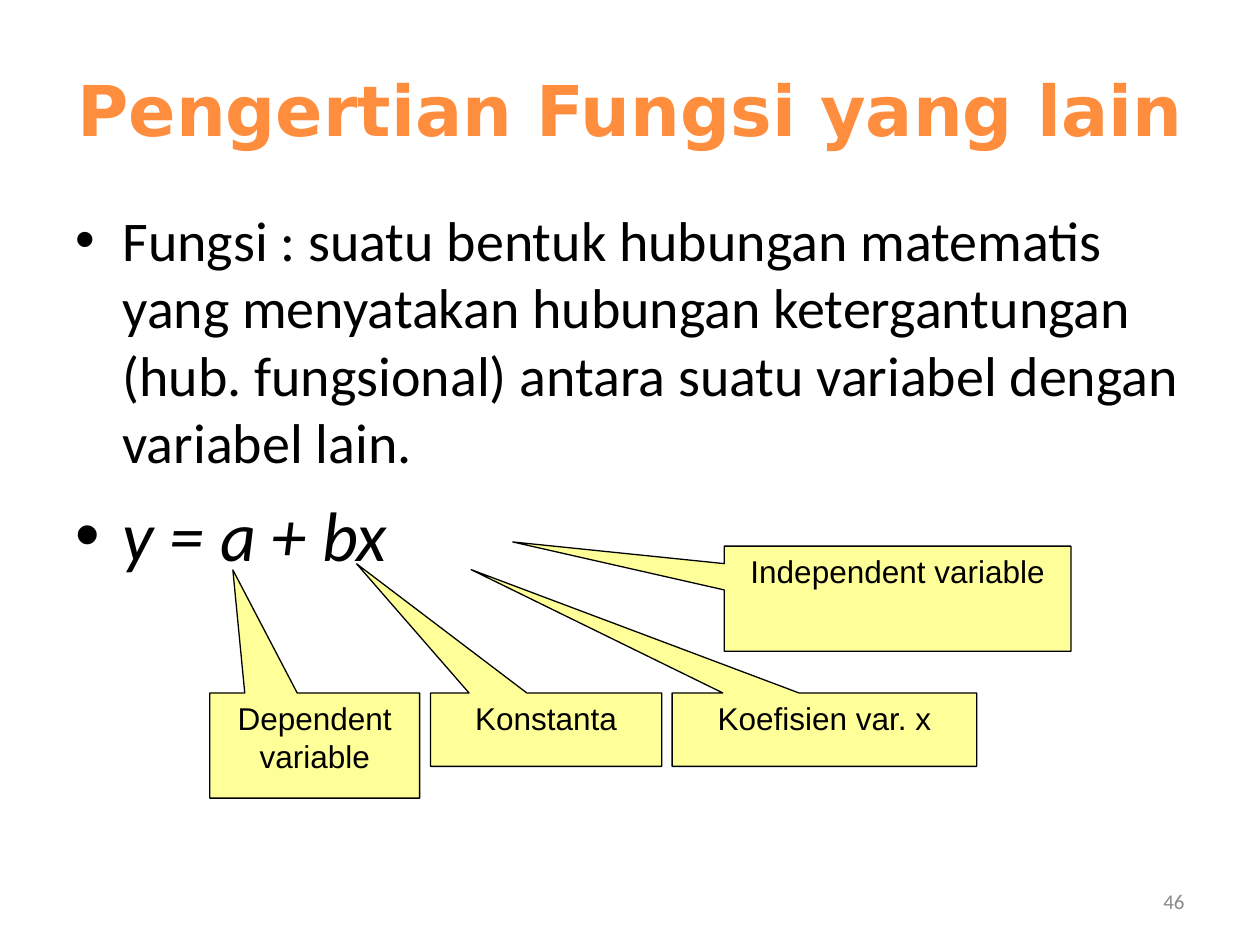
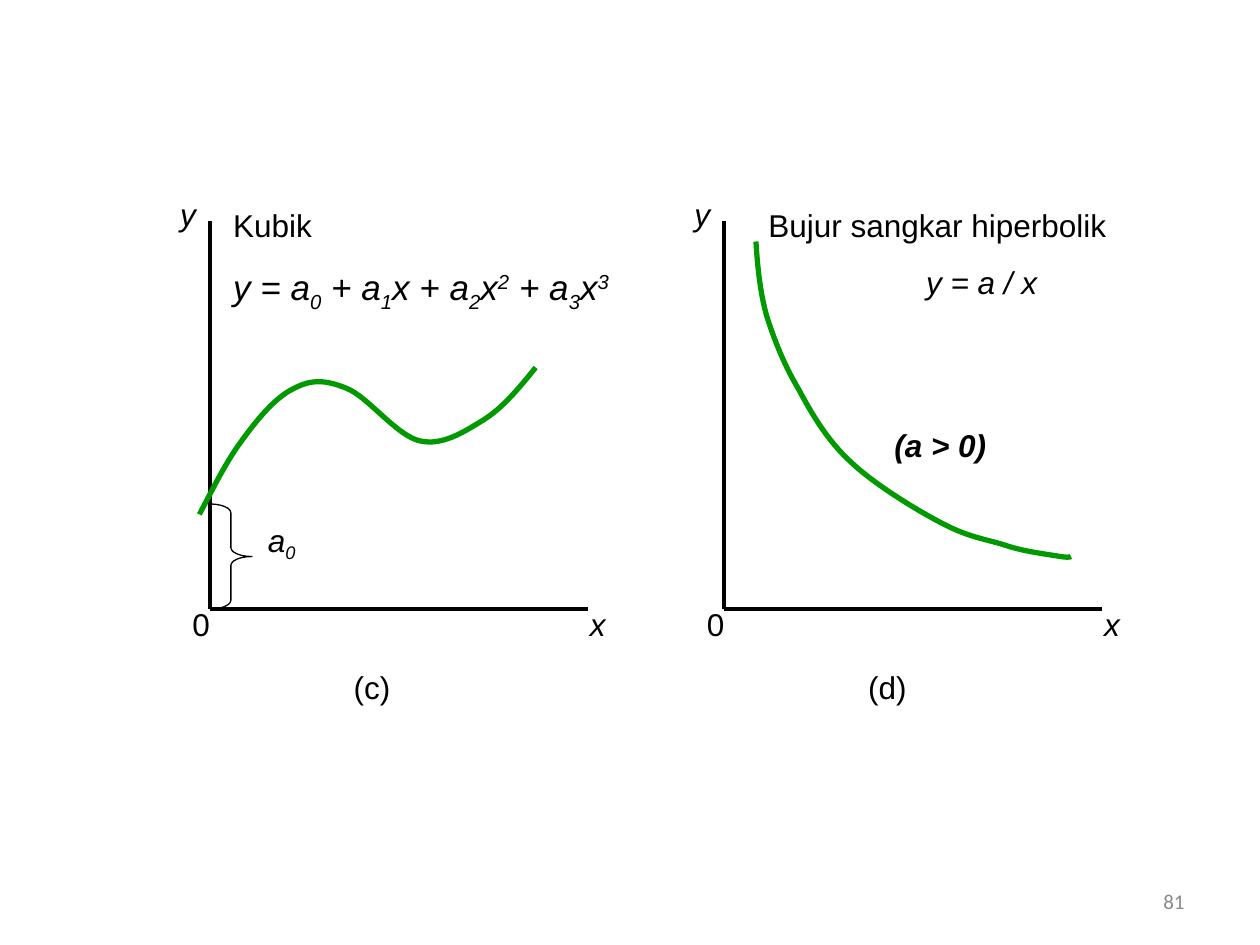
import itertools
from typing import NamedTuple

import lxml.etree
import pptx
import pptx.dml.color
import pptx.enum.shapes
import pptx.enum.text
import pptx.oxml.ns
import pptx.util

Cm = pptx.util.Cm
Pt = pptx.util.Pt
RGBColor = pptx.dml.color.RGBColor
ALIGN = pptx.enum.text.PP_ALIGN
ANCHOR = pptx.enum.text.MSO_ANCHOR
PRESET = pptx.enum.shapes.MSO_SHAPE
qn = pptx.oxml.ns.qn

# Shared look
BLACK = RGBColor(0x00, 0x00, 0x00)
ORANGE = RGBColor(0xFF, 0x8D, 0x3E)
YELLOW = RGBColor(0xFF, 0xFF, 0x99)
GREEN = RGBColor(0x00, 0x99, 0x00)
GRAY = RGBColor(0x89, 0x89, 0x89)
BASELINES = {"_": -25000, "^": 30000}

# Shared axes, in centimetres
AXIS_TOP, AXIS_BOTTOM, AXIS_WIDTH = 4.45, 12.28, 7.62


class Box(NamedTuple):
    left: float
    top: float
    width: float
    height: float

    def lengths(self) -> list:
        return [Cm(value) for value in self]


class Callout(NamedTuple):
    text: str
    box: Box
    tip: tuple[float, float]


class Graph(NamedTuple):
    caption: str
    origin: float
    curve: list[tuple[float, float]]


CALLOUTS = [
    Callout("Dependent variable", Box(4.23, 13.97, 4.23, 2.12), (-0.39, -1.67)),
    Callout("Konstanta", Box(8.68, 13.97, 4.66, 1.48), (-0.82, -2.26)),
    Callout("Koefisien var. x", Box(13.55, 13.97, 6.14, 1.48), (-1.16, -2.18)),
    Callout("Independent variable", Box(14.6, 11.01, 6.99, 2.12), (-1.11, -0.54)),
]

# Each curve is a start point followed by Bezier triples
CUBIC = Graph("(c)", 4.23, [
    (4.02, 10.37),
    (4.29, 9.86), (4.55, 9.32), (4.87, 8.89),
    (5.18, 8.46), (5.56, 8.0), (5.93, 7.83),
    (6.27, 7.65), (6.55, 7.65), (6.99, 7.83),
    (7.42, 8.0), (8.0, 8.79), (8.47, 8.89),
    (8.92, 8.99), (9.35, 8.71), (9.74, 8.47),
    (10.13, 8.23), (10.46, 7.83), (10.8, 7.41),
])
HYPERBOLA = Graph("(d)", 14.6, [
    (15.24, 4.87),
    (15.27, 5.36), (15.32, 5.87), (15.45, 6.35),
    (15.6, 6.83), (15.8, 7.34), (16.09, 7.83),
    (16.36, 8.33), (16.66, 8.86), (17.15, 9.31),
    (17.63, 9.77), (18.52, 10.31), (19.05, 10.58),
    (19.58, 10.85), (19.94, 10.88), (20.32, 11.01),
    (20.7, 11.13), (21.16, 11.18), (21.38, 11.22),
    (21.59, 11.25), (21.59, 11.22), (21.59, 11.22),
])


def baseline_runs(text: str) -> list[tuple[int, str]]:
    """Split text at _ (next letter lowered) and ^ (next letter raised)."""
    letters, baseline = [], 0
    for letter in text:
        if letter in BASELINES:
            baseline = BASELINES[letter]
        else:
            letters.append((baseline, letter))
            baseline = 0
    return [(level, "".join(letter for _, letter in group))
            for level, group in itertools.groupby(letters, key=lambda pair: pair[0])]


def write(frame, text: str, *, size: float = 18, font: str = "Arial",
          color: RGBColor = BLACK, bold: bool = False, italic: bool = False,
          align=ALIGN.LEFT, before: float = 0, spacing: float = 1.0,
          bullet: bool = False) -> None:
    """Add one formatted paragraph to a text frame."""
    paragraph = frame.paragraphs[0]
    if paragraph.runs:
        paragraph = frame.add_paragraph()
    if bullet:
        properties = paragraph._p.get_or_add_pPr()
        properties.set("marL", str(Cm(0.95)))
        properties.set("indent", str(Cm(-0.95)))
        lxml.etree.SubElement(properties, qn("a:buFont")).set("typeface", "Arial")
        lxml.etree.SubElement(properties, qn("a:buChar")).set("char", "•")
    paragraph.alignment = align
    paragraph.line_spacing = spacing
    if before:
        paragraph.space_before = Pt(before)
    for baseline, piece in baseline_runs(text):
        run = paragraph.add_run()
        run.text = piece
        run.font.name, run.font.size = font, Pt(size)
        run.font.bold, run.font.italic = bold, italic
        run.font.color.rgb = color
        if baseline:
            run._r.get_or_add_rPr().set("baseline", str(baseline))


def text_frame(slide, box: Box, *, anchor=ANCHOR.TOP):
    frame = slide.shapes.add_textbox(*box.lengths()).text_frame
    frame.word_wrap = True
    frame.vertical_anchor = anchor
    return frame


def add_page_number(slide, number: int) -> None:
    frame = text_frame(slide, Box(18.2, 17.65, 5.93, 1.02), anchor=ANCHOR.MIDDLE)
    write(frame, str(number), size=12, font="Calibri", color=GRAY, align=ALIGN.RIGHT)


def add_callout(slide, callout: Callout) -> None:
    shape = slide.shapes.add_shape(PRESET.RECTANGULAR_CALLOUT, *callout.box.lengths())
    shape.adjustments[0], shape.adjustments[1] = callout.tip
    shape.shadow.inherit = False
    shape.fill.solid()
    shape.fill.fore_color.rgb = YELLOW
    shape.line.color.rgb = BLACK
    shape.line.width = Pt(0.75)
    shape.text_frame.word_wrap = True
    shape.text_frame.vertical_anchor = ANCHOR.TOP
    write(shape.text_frame, callout.text, align=ALIGN.CENTER)


def add_axis(slide, start: tuple[float, float], end: tuple[float, float]) -> None:
    axis = slide.shapes.add_connector(
        pptx.enum.shapes.MSO_CONNECTOR.STRAIGHT,
        *[Cm(value) for value in (*start, *end)])
    axis.line.color.rgb = BLACK
    axis.line.width = Pt(2.25)
    lxml.etree.SubElement(axis._element.spPr, qn("a:effectLst"))


def add_curve(slide, points: list[tuple[float, float]]) -> None:
    start, *controls = [(Cm(x), Cm(y)) for x, y in points]
    builder = slide.shapes.build_freeform(*start)
    builder.add_line_segments(controls, close=False)
    curve = builder.convert_to_shape()
    curve.shadow.inherit = False
    curve.fill.background()
    curve.line.color.rgb = GREEN
    curve.line.width = Pt(3)
    # Join every three segments into one Bezier segment
    outline = curve._element.find(".//" + qn("a:path"))
    segments = outline.findall(qn("a:lnTo"))
    for first in range(0, len(segments), 3):
        bezier = lxml.etree.SubElement(outline, qn("a:cubicBezTo"))
        for segment in segments[first:first + 3]:
            bezier.append(segment[0])
            outline.remove(segment)


def add_graph(slide, graph: Graph) -> None:
    origin = graph.origin
    corner = (origin, AXIS_BOTTOM)
    add_axis(slide, (origin, AXIS_TOP), corner)
    add_axis(slide, corner, (origin + AXIS_WIDTH, AXIS_BOTTOM))
    write(text_frame(slide, Box(origin + 7.41, 12.07, 1.06, 1.02)), "x", italic=True)
    write(text_frame(slide, Box(origin - 0.85, 3.81, 1.06, 1.02)), "y", italic=True)
    write(text_frame(slide, Box(origin - 0.6, 12.07, 1, 1.02)), "0")
    write(text_frame(slide, Box(origin + 2.65, 13.34, 1.6, 1.02)), graph.caption)
    add_curve(slide, graph.curve)


def build_definition(slide) -> None:
    title = text_frame(slide, Box(1.27, 0.76, 22.86, 3.18), anchor=ANCHOR.MIDDLE)
    write(title, "Pengertian Fungsi yang lain", size=40, font="DejaVu Sans",
          color=ORANGE, bold=True, align=ALIGN.CENTER, spacing=0.8)
    body = text_frame(slide, Box(1.27, 4.02, 22.86, 12.57))
    write(body, "Fungsi : suatu bentuk hubungan matematis yang menyatakan hubungan "
          "ketergantungan (hub. fungsional) antara suatu variabel dengan variabel lain.",
          size=32, font="Calibri", bullet=True)
    write(body, "y = a + bx", size=40, font="Calibri", italic=True, before=10,
          bullet=True)
    for callout in CALLOUTS:
        add_callout(slide, callout)
    add_page_number(slide, 46)


def build_graphs(slide) -> None:
    for graph in (CUBIC, HYPERBOLA):
        add_graph(slide, graph)

    # Cubic: heading, equation and intercept
    heading = text_frame(slide, Box(4.45, 4.02, 8.68, 3.7))
    write(heading, "Kubik")
    write(heading, "y = a_0 + a_1x + a_2x^2 + a_3x^3", size=20, italic=True, before=12.5)
    intercept = slide.shapes.add_shape(
        PRESET.RIGHT_BRACE, *Box(4.23, 10.16, 0.85, 2.12).lengths())
    intercept.adjustments[0] = 0.21
    intercept.shadow.inherit = False
    intercept.fill.background()
    intercept.line.color.rgb = BLACK
    intercept.line.width = Pt(0.75)
    write(text_frame(slide, Box(5.15, 10.37, 1.3, 1.12)), "a_0", italic=True)

    # Hyperbola: heading, equation and condition
    heading = text_frame(slide, Box(15.24, 4.02, 9.1, 2.18))
    write(heading, "Bujur sangkar hiperbolik")
    write(heading, "y = a / x", italic=True, align=ALIGN.CENTER, before=11.2)
    write(text_frame(slide, Box(17.78, 8.47, 3.39, 1.02)), "(a > 0)",
          bold=True, italic=True)
    add_page_number(slide, 81)


def main() -> None:
    deck = pptx.Presentation()
    deck.slide_width, deck.slide_height = Cm(25.4), Cm(19.05)
    blank = deck.slide_layouts[6]
    for build in (build_definition, build_graphs):
        build(deck.slides.add_slide(blank))
    deck.save("out.pptx")


if __name__ == "__main__":
    main()
